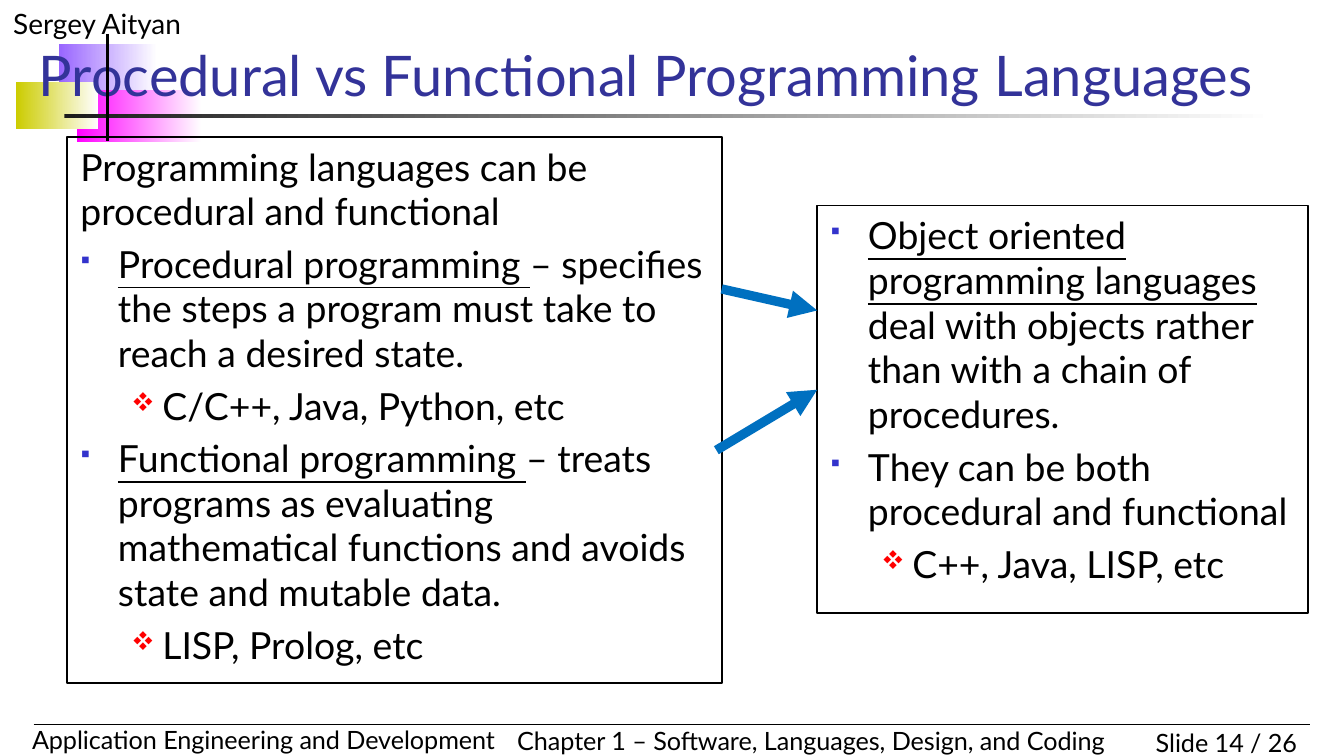
from lxml import etree
from pptx import Presentation
from pptx.dml.color import RGBColor
from pptx.enum import shapes, text
from pptx.oxml.ns import qn
from pptx.util import Inches, Pt

BLACK = "000000"
ARROW_BLUE = "0070C0"
# level: Wingdings bullet (square, diamonds), colour, size %, left margin, hanging indent
BULLETS = {
    1: ("§", "3333CC", 60, 0.28, 0.28),
    2: ("v", "FF0000", 70, 0.61, 0.23),
}


def rgb(value):
    return RGBColor.from_string(value)


def add_text(box, paragraphs, size=13.5, color=BLACK, align=text.PP_ALIGN.LEFT,
             anchor=text.MSO_ANCHOR.TOP, border=None):
    """Add a text box; each paragraph is (level, underlined part, plain part)."""
    shape = slide.shapes.add_textbox(*map(Inches, box))
    frame = shape.text_frame
    frame.word_wrap = True
    frame.vertical_anchor = anchor
    if border:
        shape.line.color.rgb = rgb(border)
        shape.line.width = Pt(1)
    for i, (level, underlined, plain) in enumerate(paragraphs):
        para = frame.add_paragraph() if i else frame.paragraphs[0]
        para.alignment = align
        if i:
            para.space_before = Pt(size * 0.2)
        if level:
            char, bullet_color, percent, margin, hang = BULLETS[level]
            para.level = level - 1
            props = para._p.get_or_add_pPr()
            props.set("marL", str(Inches(margin)))
            props.set("indent", str(-Inches(hang)))
            tint = etree.SubElement(props, qn("a:buClr"))
            etree.SubElement(tint, qn("a:srgbClr"), val=bullet_color)
            etree.SubElement(props, qn("a:buSzPct"), val=str(percent * 1000))
            etree.SubElement(props, qn("a:buFont"), typeface="Wingdings",
                             pitchFamily="2", charset="2")
            etree.SubElement(props, qn("a:buChar"), char=char)
        for words, underline in ((underlined, True), (plain, False)):
            if words:
                run = para.add_run()
                run.text = words
                run.font.name = "Lato"
                run.font.size = Pt(size)
                run.font.color.rgb = rgb(color)
                run.font.underline = underline


prs = Presentation()
prs.slide_width = Inches(10)
prs.slide_height = Inches(10 * 9 / 16)
slide = prs.slides.add_slide(prs.slide_layouts[6])

# Fading corner blocks and the rule under the title
for box, start in [
    ((0.44, 0.33, 0.73, 0.39), "9966FF"),
    ((0.57, 0.67, 0.93, 0.39), "FF00FF"),
    ((0.12, 0.61, 0.61, 0.35), "CCCC00"),
    ((0.48, 0.85, 9, 0.03), "1C1C1C"),
]:
    block = slide.shapes.add_shape(shapes.MSO_SHAPE.RECTANGLE, *map(Inches, box))
    block.shadow.inherit = False
    block.line.fill.background()
    block.fill.gradient()
    block.fill.gradient_angle = 0
    for stop, color, position in zip(block.fill.gradient_stops, (start, "FFFFFF"), (0, 1)):
        stop.color.rgb = rgb(color)
        stop.position = position

# Author and footer
add_text((0, 0, 2.08, 0.35), [(0, "", "Sergey Aityan")], size=15)
add_text((8.25, 5.36, 1.5, 0.33), [(0, "", "Slide 14 / 26")], align=text.PP_ALIGN.RIGHT)
add_text((0.14, 5.34, 4.03, 0.33), [(0, "", "Application Engineering and Development")])
add_text((3.75, 5.35, 4.75, 0.33),
         [(0, "", "Chapter 1 – Software, Languages, Design, and Coding")])

# Title and the two content panels
add_text((0.19, 0.31, 9.73, 0.54),
         [(0, "", "Procedural vs Functional Programming Languages")],
         size=30, color="333399", anchor=text.MSO_ANCHOR.BOTTOM)
add_text((0.5, 1.02, 4.87, 4.06), [
    (0, "", "Programming languages can be procedural and functional"),
    (1, "Procedural programming ",
     "– specifies the steps a program must take to reach a desired state."),
    (2, "", "C/C++, Java, Python, etc"),
    (1, "Functional programming ",
     "– treats programs as evaluating mathematical functions and avoids "
     "state and mutable data."),
    (2, "", "LISP, Prolog, etc"),
], size=20, border=BLACK)
add_text((6.08, 1.53, 3.65, 3.03), [
    (1, "Object oriented programming languages",
     " deal with objects rather than with a chain of procedures."),
    (1, "", "They can be both procedural and functional"),
    (2, "", "C++, Java, LISP, etc"),
], size=20, border=BLACK)

# Footer rule, corner bar, and arrows between the panels
for ends, color, width, has_head in [
    ((0.25, 5.39, 9.75, 5.39), BLACK, 0.75, False),
    ((0.8, 0.25, 0.8, 1.05), BLACK, 2, False),
    ((5.37, 2.15, 6.08, 2.31), ARROW_BLUE, 5, True),
    ((5.33, 3.35, 6.08, 2.9), ARROW_BLUE, 5, True),
]:
    line = slide.shapes.add_connector(shapes.MSO_CONNECTOR.STRAIGHT, *map(Inches, ends))
    line.line.color.rgb = rgb(color)
    line.line.width = Pt(width)
    if has_head:
        etree.SubElement(line.line._get_or_add_ln(), qn("a:tailEnd"), type="triangle")
    etree.SubElement(line._element.spPr, qn("a:effectLst"))

prs.save("out.pptx")
